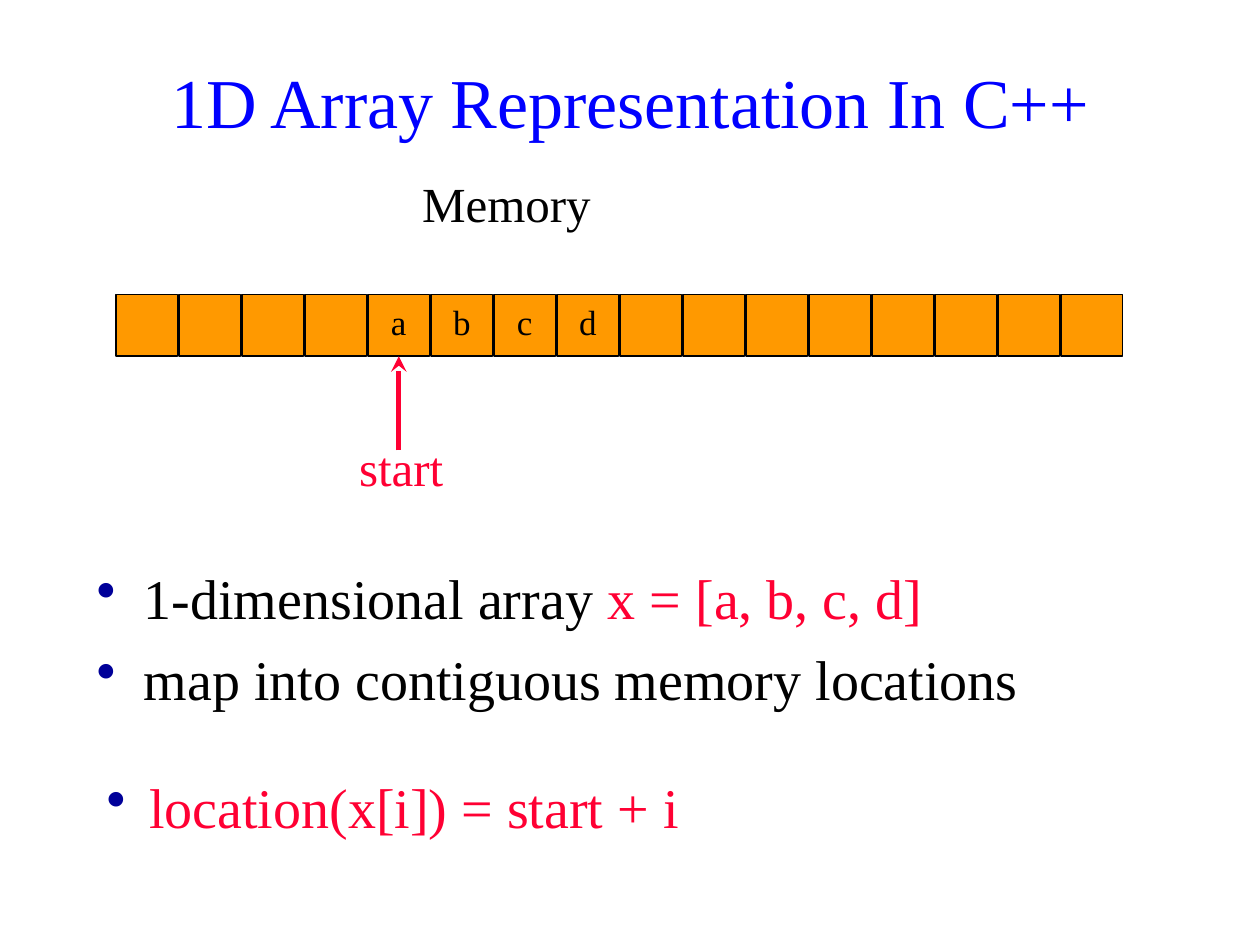
from lxml.etree import SubElement
from pptx import Presentation
from pptx.dml.color import RGBColor
from pptx.enum.shapes import MSO_CONNECTOR, MSO_SHAPE
from pptx.enum.text import MSO_ANCHOR, PP_ALIGN
from pptx.oxml.ns import qn
from pptx.util import Cm, Pt

FONT = "Times New Roman"
BLACK, BLUE, NAVY, RED, ORANGE = "000000", "0000FF", "000099", "FF0033", "FF9900"
CELL_COUNT, CELL_PITCH, CELL_SIDE = 16, 1.27, 1.24
FIRST_USED, LETTERS = 4, "abcd"


def color(value):
    return RGBColor.from_string(value)


def add_bullet(para, indent):
    properties = para._p.get_or_add_pPr()
    properties.set("marL", str(Cm(indent)))
    properties.set("indent", str(-Cm(indent)))
    bullet_color = SubElement(properties, qn("a:buClr"))
    SubElement(bullet_color, qn("a:srgbClr"), val=NAVY)
    SubElement(properties, qn("a:buChar"), char="•")


def write(frame, paragraphs, size, align=PP_ALIGN.LEFT, anchor=MSO_ANCHOR.TOP,
          space=0, bullet_indent=None):
    """Fill a frame; each paragraph is a list of (text, colour) spans."""
    frame.word_wrap = True
    frame.vertical_anchor = anchor
    for index, spans in enumerate(paragraphs):
        para = frame.add_paragraph() if index else frame.paragraphs[0]
        para.alignment = align
        if index:
            para.space_before = Pt(space)
        if bullet_indent:
            add_bullet(para, bullet_indent)
        for text, ink in spans:
            span = para.add_run()
            span.text = text
            span.font.name = FONT
            span.font.size = Pt(size)
            span.font.color.rgb = color(ink)


def add_text(page, left, top, width, height, paragraphs, size, **layout):
    box = page.shapes.add_textbox(Cm(left), Cm(top), Cm(width), Cm(height))
    write(box.text_frame, paragraphs, size, **layout)


def add_cell(page, left, top, letter):
    cell = page.shapes.add_shape(MSO_SHAPE.RECTANGLE, Cm(left), Cm(top),
                                 Cm(CELL_SIDE), Cm(CELL_SIDE))
    cell.shadow.inherit = False
    cell.fill.solid()
    cell.fill.fore_color.rgb = color(ORANGE)
    cell.line.color.rgb = color(BLACK)
    cell.line.width = Pt(1)
    if letter:
        frame = cell.text_frame
        frame.margin_left = frame.margin_right = frame.margin_top = 0
        frame.margin_bottom = Cm(0.15)
        write(frame, [[(letter, BLACK)]], 20, align=PP_ALIGN.CENTER,
              anchor=MSO_ANCHOR.MIDDLE)
    return cell


def add_start_pointer(page, cell, length):
    middle = cell.left + cell.width // 2
    bottom = cell.top + cell.height
    arrow = page.shapes.add_connector(MSO_CONNECTOR.STRAIGHT, middle,
                                      bottom + Cm(length), middle, bottom)
    arrow.end_connect(cell, 2)
    arrow.line.color.rgb = color(RED)
    arrow.line.width = Pt(3)
    SubElement(arrow.line._get_or_add_ln(), qn("a:tailEnd"), type="stealth")
    SubElement(arrow._element.spPr, qn("a:effectLst"))


def add_memory(page, left, top):
    """Draw the row of cells, its caption and the pointer to the first used cell."""
    add_text(page, left + 5.92, top - 2.56, 6.1, 1.45, [[("Memory", BLACK)]], 28)
    letters = dict(enumerate(LETTERS, FIRST_USED))
    cells = [add_cell(page, left + CELL_PITCH * index, top, letters.get(index))
             for index in range(CELL_COUNT)]
    add_start_pointer(page, cells[FIRST_USED], 1.9)
    add_text(page, left + 4.65, top + 2.75, 2.97, 1.45, [[("start", RED)]], 28)


def add_points(page, left, top, width):
    add_text(page, left, top, width, 3.38,
             [[("1-dimensional array ", BLACK), ("x = [a, b, c, d]", RED)],
              [("map into contiguous memory locations", BLACK)]],
             32, space=8, bullet_indent=0.95)
    add_text(page, left + 0.2, top + 4.22, width - 1.27, 1.6,
             [[("location(x[i]) = start + i", RED)]], 32, bullet_indent=0.86)


def main():
    deck = Presentation()
    deck.slide_width, deck.slide_height = Cm(25.4), Cm(19.05)
    page = deck.slides.add_slide(deck.slide_layouts[6])
    add_text(page, 0.64, 0.43, 24.13, 3.18,
             [[("1D Array Representation In C++", BLUE)]], 40,
             align=PP_ALIGN.CENTER, anchor=MSO_ANCHOR.MIDDLE)
    add_memory(page, 2.34, 5.94)
    add_points(page, 1.7, 11.23, 21.59)
    deck.save("out.pptx")


if __name__ == "__main__":
    main()
